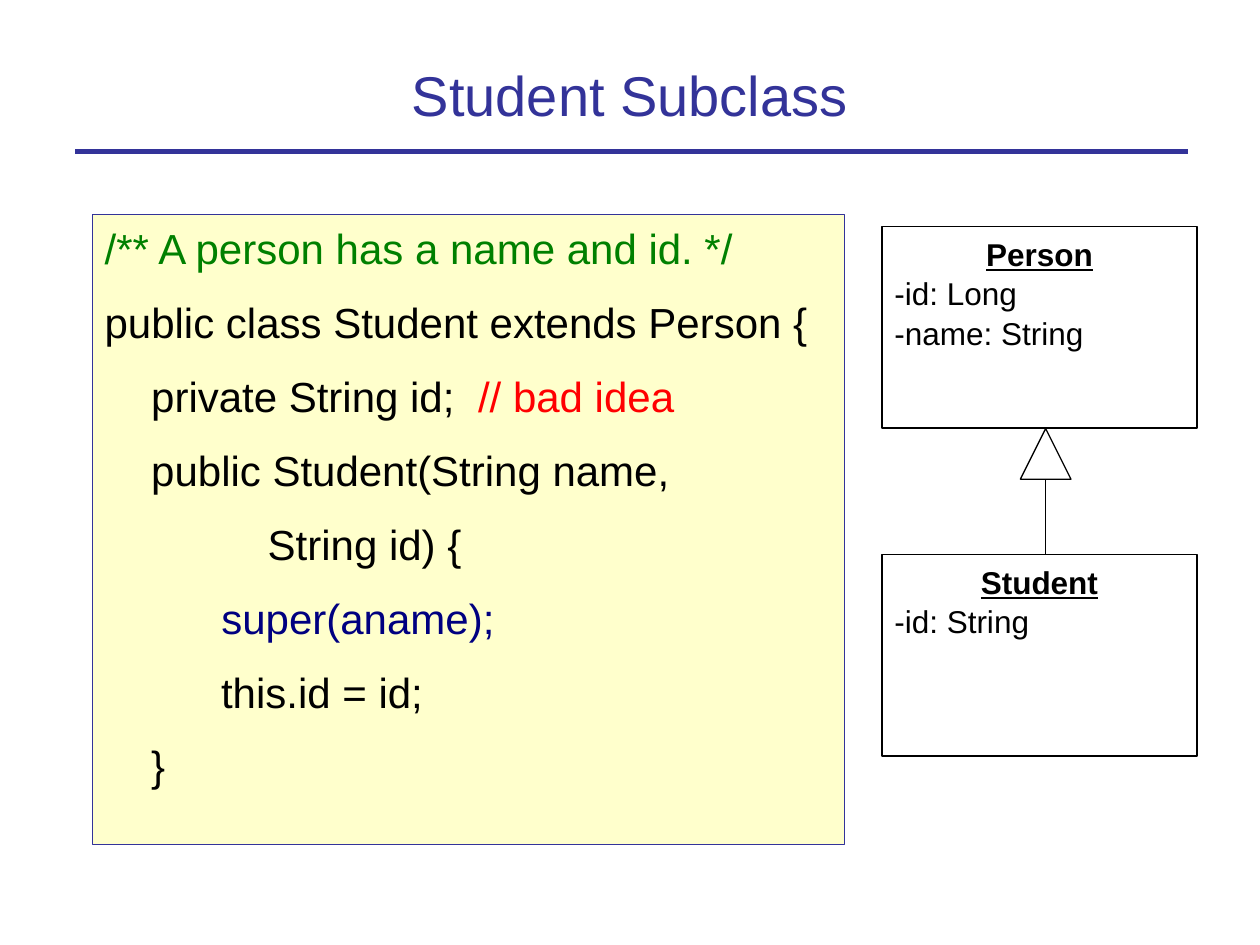
import pptx
import pptx.dml.color
import pptx.enum.shapes
import pptx.enum.text
import pptx.oxml.ns
import pptx.util
from lxml import etree

Cm, Pt = pptx.util.Cm, pptx.util.Pt
SHAPES = pptx.enum.shapes.MSO_SHAPE
ALIGN = pptx.enum.text.PP_ALIGN
ANCHOR = pptx.enum.text.MSO_ANCHOR

COLOURS = {
    "accent": "333399",
    "paper": "FFFFCC",
    "text": "000000",
    "comment": "008000",
    "warning": "FF0000",
    "call": "000080",
}
FONT = "Arial"
LINE_SPACING = 1.05

# Each code line is a list of (text, colour) spans
CODE = [
    [("/** A person has a name and id. */", "comment")],
    [("public class Student extends Person {", "text")],
    [("    private String id;  ", "text"), ("// bad idea", "warning")],
    [("    public Student(String name,", "text")],
    [("              String id) {", "text")],
    [("          ", "text"), ("super(aname);", "call")],
    [("          this.id = id;", "text")],
    [("    }", "text")],
]


def colour(name):
    return pptx.dml.color.RGBColor.from_string(COLOURS[name])


def style_font(font, size, name="text"):
    font.name = FONT
    font.size = Pt(size)
    font.color.rgb = colour(name)


def add_title(page, text):
    title = page.shapes.title
    title.left, title.top = Cm(1.7), Cm(0.71)
    title.width, title.height = Cm(22), Cm(2.36)
    frame = title.text_frame
    frame.text = text
    frame.auto_size = pptx.enum.text.MSO_AUTO_SIZE.NONE
    frame.vertical_anchor = ANCHOR.MIDDLE
    frame.paragraphs[0].alignment = ALIGN.CENTER
    style_font(frame.paragraphs[0].runs[0].font, 32, "accent")


def add_line(page, start, end, name, weight):
    line = page.shapes.add_connector(
        pptx.enum.shapes.MSO_CONNECTOR.STRAIGHT,
        Cm(start[0]), Cm(start[1]), Cm(end[0]), Cm(end[1]))
    line.line.color.rgb = colour(name)
    line.line.width = Pt(weight)
    properties = line._element.spPr
    etree.SubElement(properties, pptx.oxml.ns.qn("a:effectLst"))


def add_outline(page, kind, left, top, width, height, line="text", fill=None):
    box = page.shapes.add_shape(kind, Cm(left), Cm(top), Cm(width), Cm(height))
    box.shadow.inherit = False
    box.line.color.rgb = colour(line)
    box.line.width = Pt(0.75)
    if fill:
        box.fill.solid()
        box.fill.fore_color.rgb = colour(fill)
    else:
        box.fill.background()
    box.text_frame.vertical_anchor = ANCHOR.TOP
    return box


def add_code(page, lines):
    box = add_outline(page, SHAPES.RECTANGLE, 1.86, 4.32, 15.16, 12.7,
                      "accent", "paper")
    frame = box.text_frame
    for number, spans in enumerate(lines):
        para = frame.add_paragraph() if number else frame.paragraphs[0]
        para.alignment = ALIGN.LEFT
        para.line_spacing = LINE_SPACING
        if number:
            para.space_before = Pt(12)
        for text, name in spans:
            span = para.add_run()
            span.text = text
            style_font(span.font, 24, name)


def add_class(page, top, name, fields):
    box = add_outline(page, SHAPES.RECTANGLE, 17.78, top, 6.35, 4.06)
    frame = box.text_frame
    frame.text = "\n".join([name] + fields)
    for number, para in enumerate(frame.paragraphs):
        is_name = number == 0
        para.alignment = ALIGN.CENTER if is_name else ALIGN.LEFT
        para.line_spacing = LINE_SPACING
        font = para.runs[0].font
        style_font(font, 18)
        font.bold = font.underline = is_name


def main():
    deck = pptx.Presentation()
    deck.slide_width, deck.slide_height = Cm(25.4), Cm(19.05)
    page = deck.slides.add_slide(deck.slide_layouts[5])

    # Heading and rule
    add_line(page, (1.52, 3.05), (23.95, 3.05), "accent", 3)
    add_title(page, "Student Subclass")

    # Source code
    add_code(page, CODE)

    # Class diagram with inheritance arrow
    add_class(page, 4.57, "Person", ["-id: Long", "-name: String"])
    add_class(page, 11.18, "Student", ["-id: String"])
    add_outline(page, SHAPES.ISOSCELES_TRIANGLE, 20.57, 8.64, 1.02, 1.02)
    add_line(page, (21.08, 11.18), (21.08, 9.65), "text", 0.75)

    deck.save("out.pptx")


if __name__ == "__main__":
    main()
